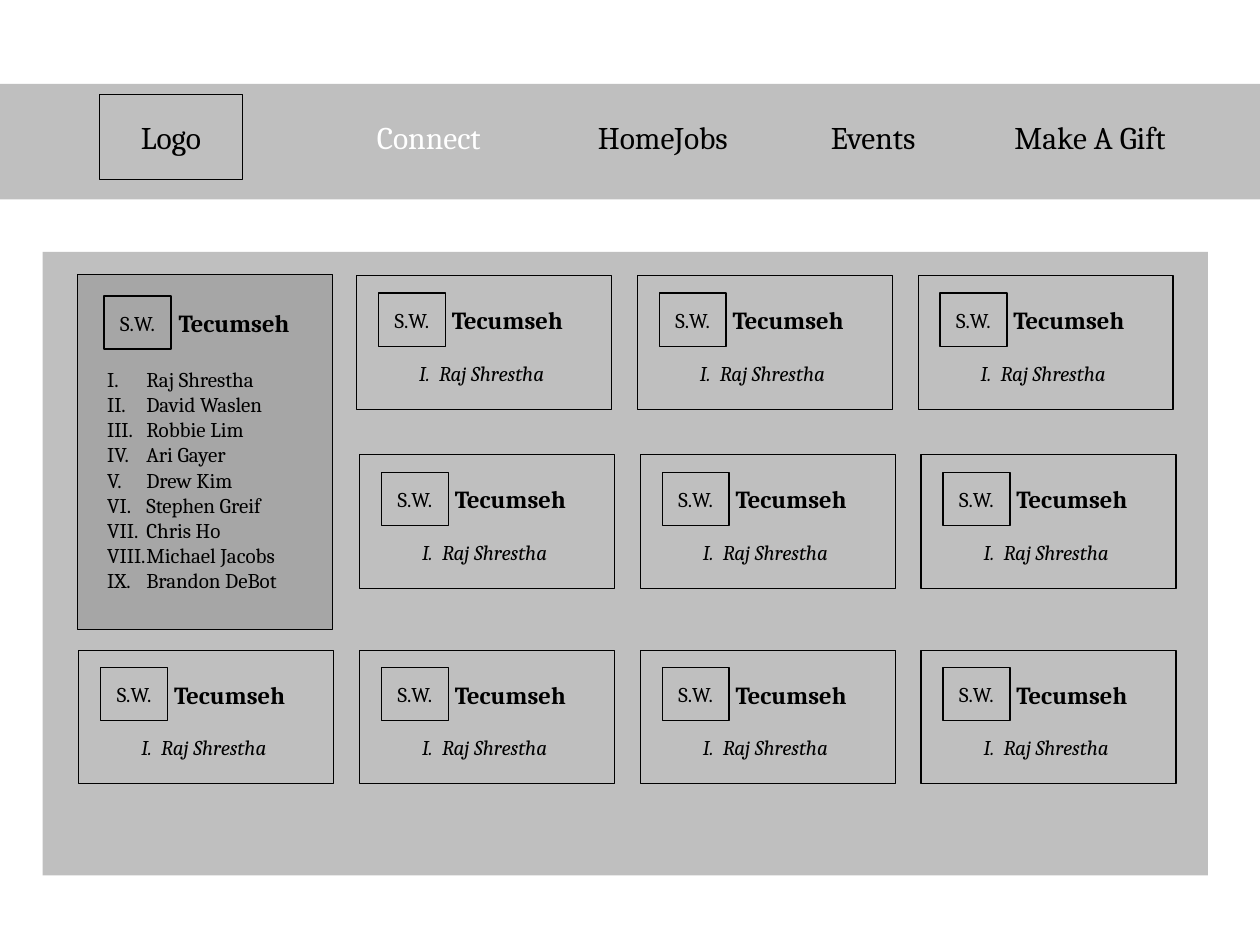
from lxml import etree
from pptx import Presentation
from pptx.dml.color import RGBColor
from pptx.enum.shapes import MSO_SHAPE
from pptx.enum.text import MSO_ANCHOR, PP_ALIGN
from pptx.oxml.ns import qn
from pptx.util import Cm, Pt

RECT = MSO_SHAPE.RECTANGLE
MIDDLE, TOP = MSO_ANCHOR.MIDDLE, MSO_ANCHOR.TOP
LEFT, CENTER = PP_ALIGN.LEFT, PP_ALIGN.CENTER
FONT = "Cambria"
COLORS = {"black": "000000", "white": "FFFFFF", "panel": "BFBFBF", "active": "A6A6A6"}


def add_box(shapes, place, fill=None, line=None):
    """Add a plain rectangle with optional fill and outline."""
    box = shapes.add_shape(RECT, *[Cm(n) for n in place])
    box.shadow.inherit = False
    for paint, color in ((box.fill, fill), (box.line.fill, line)):
        if color:
            paint.solid()
            paint.fore_color.rgb = RGBColor.from_string(COLORS[color])
        else:
            paint.background()
    if line:
        box.line.width = Pt(0.75)
    return box


def write(box, lines, size, align=LEFT, color="black", bold=False, italic=False):
    """Write one paragraph per line into a shape, centred vertically."""
    frame = box.text_frame
    frame.word_wrap = True
    frame.vertical_anchor = MIDDLE
    frame.text = "\n".join(lines)
    for par in frame.paragraphs:
        par.alignment = align
        font = par.font
        font.name, font.size = FONT, Pt(size)
        font.bold, font.italic = bold, italic
        font.color.rgb = RGBColor.from_string(COLORS[color])


deck = Presentation()
deck.slide_width, deck.slide_height = Cm(25.4), Cm(19.05)
slide = deck.slides.add_slide(deck.slide_layouts[6])
shapes = slide.shapes

# Page panel and menu bar
add_box(shapes, (0.86, 5.08, 23.49, 12.57), "panel")
add_box(shapes, (0, 1.69, 25.4, 2.33), "panel")
logo = add_box(shapes, (2.0, 1.9, 2.89, 1.72), line="black")
write(logo, ["Logo"], 18, CENTER)

menu = [
    ("Connect ", 6.99, 3.45, "white"),
    ("HomeJobs", 11.64, 3.45, "black"),
    ("Events", 15.88, 3.45, "black"),
    ("Make A Gift", 20.07, 3.81, "black"),
]
for label, left, width, color in menu:
    item = shapes.add_textbox(Cm(left), Cm(1.9), Cm(width), Cm(1.72))
    write(item, [label], 18, CENTER, color)

# Closed cards: left edge of the first column, top, columns in use
PITCH = 5.66
rows = [(1.53, 5.56, (1, 2, 3)), (1.59, 9.17, (1, 2, 3)), (1.59, 13.11, (0, 1, 2, 3))]
for start, top, cols in rows:
    for col in cols:
        left = start + col * PITCH
        card = shapes.add_group_shape().shapes
        badge = add_box(card, (left + 0.44, top + 0.35, 1.35, 1.07), line="black")
        write(badge, ["S.W."], 12, CENTER)
        add_box(card, (left, top, 5.14, 2.69), line="black")
        name = card.add_textbox(Cm(left + 1.67), Cm(top + 0.35), Cm(3.45), Cm(1.07))
        write(name, ["Tecumseh"], 14, bold=True)
        person = card.add_textbox(Cm(left + 1.01), Cm(top + 1.42), Cm(3.45), Cm(1.07))
        write(person, ["I.  Raj Shrestha "], 12, italic=True)

# Open card with the numbered list
card = shapes.add_group_shape().shapes
add_box(card, (1.57, 5.53, 5.13, 7.16), "active", "black")
name = add_box(card, (3.35, 5.97, 3.23, 1.07), "active", "active")
write(name, ["Tecumseh"], 14, bold=True)
people = [
    "Raj Shrestha", "David Waslen", "Robbie Lim", "Ari Gayer", "Drew Kim",
    "Stephen Greif", "Chris Ho", "Michael Jacobs", "Brandon DeBot",
]
roster = add_box(card, (1.91, 7.26, 4.42, 5.05), "active", "active")
write(roster, people, 12)
roster.text_frame.vertical_anchor = TOP
for par in roster.text_frame.paragraphs:
    props = par._p.get_or_add_pPr()
    props.set("marL", str(Cm(0.79)))
    props.set("indent", str(-Cm(0.79)))
    number = etree.Element(qn("a:buAutoNum"), type="romanUcPeriod")
    props.insert(0, number)
badge = add_box(card, (2.1, 5.97, 1.35, 1.07), "active", "black")
write(badge, ["S.W."], 12, CENTER)

deck.save("out.pptx")
